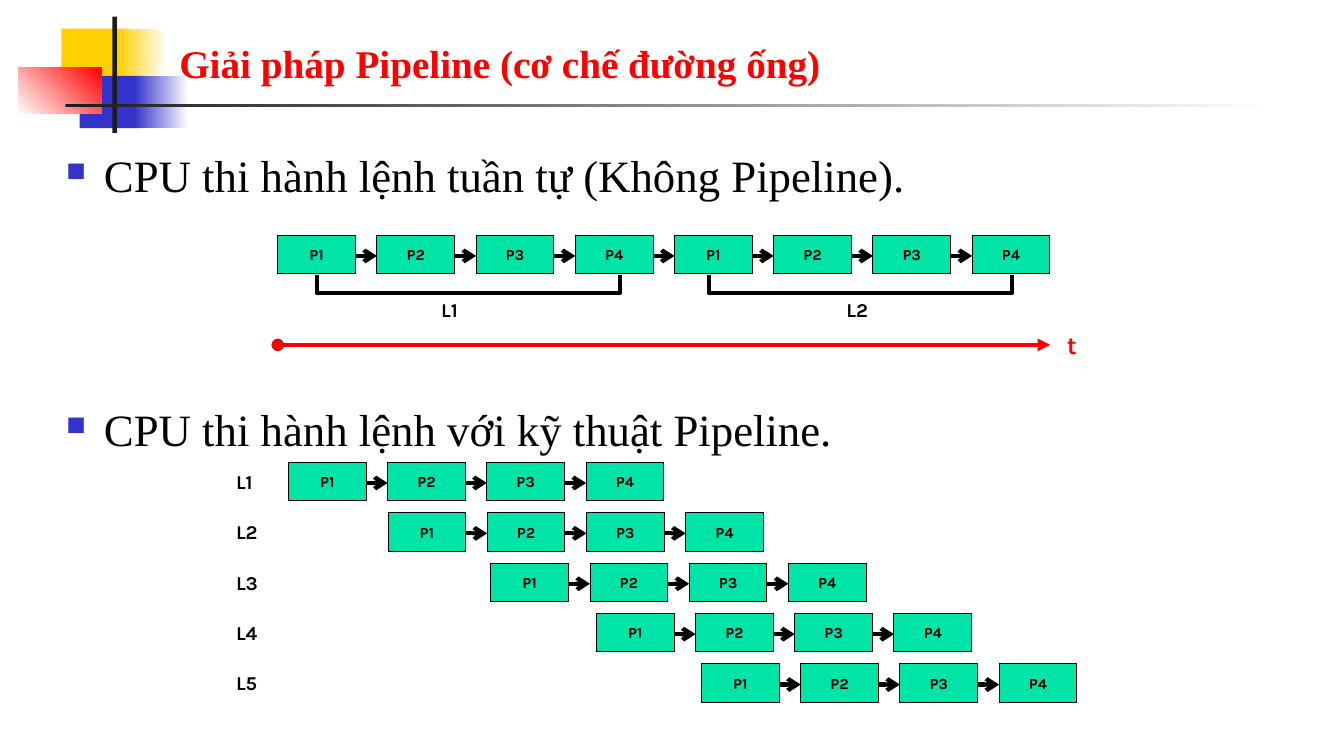
from lxml.etree import SubElement
from pptx import Presentation
from pptx.dml.color import RGBColor
from pptx.enum.shapes import MSO_CONNECTOR as Connector, MSO_SHAPE as Preset
from pptx.enum.text import MSO_ANCHOR as Anchor, PP_ALIGN as Align
from pptx.oxml.ns import qn
from pptx.util import Cm, Pt

BLACK, WHITE, RED, BLUE = "000000", "FFFFFF", "FF0000", "3333CC"
YELLOW, CHARCOAL, GREEN = "FFCF01", "1C1C1C", "00E4A8"
SERIF, SANS = "Times New Roman", "Karla"
PHASES = ["P1", "P2", "P3", "P4"]
PHASE_WIDTH, PHASE_HEIGHT, PHASE_STEP = 1.96, 0.97, 2.5
SEQUENCE_LEFT, SEQUENCE_TOP = 7, 5.93
PIPELINE_TOP, PIPELINE_STEP = 11.65, 1.27
PIPELINE_LEFTS = [7.27, 9.78, 12.37, 15.03, 17.68]
DECORATION = [
    (1.55, 0.72, 1.63, 1.32, [YELLOW], 0),
    (2.97, 0.72, 1.22, 1.32, [YELLOW, WHITE], 0),
    (2.01, 1.91, 1.57, 1.32, [BLUE], 0),
    (3.38, 1.91, 1.37, 1.32, [BLUE, WHITE], 0),
    (0.47, 1.7, 2.08, 1.17, [WHITE, RED], 45),
    (2.83, 0.42, 0.12, 2.93, [CHARCOAL], 0),
    (1.65, 2.62, 30.48, 0.08, [CHARCOAL, WHITE], 0),
]


def color(value):
    """Turn a hex string into a colour."""
    return RGBColor.from_string(value)


def style_text(frame, size, font, tint, bold=True):
    """Format every run of a text frame."""
    for paragraph in frame.paragraphs:
        for run in paragraph.runs:
            run.font.size = Pt(size)
            run.font.name = font
            run.font.bold = bold
            run.font.color.rgb = color(tint)


def add_decoration(slide, left, top, width, height, tints, angle):
    """Draw one borderless rectangle with a solid or gradient fill."""
    block = slide.shapes.add_shape(
        Preset.RECTANGLE, Cm(left), Cm(top), Cm(width), Cm(height))
    block.shadow.inherit = False
    block.line.fill.background()
    if len(tints) == 1:
        block.fill.solid()
        block.fill.fore_color.rgb = color(tints[0])
    else:
        block.fill.gradient()
        block.fill.gradient_angle = angle
        for stop, tint in zip(block.fill.gradient_stops, tints):
            stop.color.rgb = color(tint)


def add_title(slide, text):
    """Add the slide heading."""
    heading = slide.shapes.add_textbox(Cm(4.27), Cm(0.58), Cm(28.85), Cm(1.73))
    frame = heading.text_frame
    frame.word_wrap = True
    frame.vertical_anchor = Anchor.BOTTOM
    frame.text = text
    style_text(frame, 28, SERIF, RED)


def add_bullets(slide, lines, gap):
    """Add the square-bulleted statements, separated by a gap in points."""
    body = slide.shapes.add_textbox(Cm(1.42), Cm(3.61), Cm(31.75), Cm(13.44))
    frame = body.text_frame
    frame.word_wrap = True
    frame.text = "\n".join(lines)
    for index, paragraph in enumerate(frame.paragraphs):
        paragraph.space_before = Pt(gap if index else 0)
        props = paragraph._p.get_or_add_pPr()
        props.set("marL", str(Cm(0.95)))
        props.set("indent", str(Cm(-0.95)))
        SubElement(SubElement(props, qn("a:buClr")), qn("a:srgbClr"), val=BLUE)
        SubElement(props, qn("a:buSzPct"), val="60000")
        SubElement(props, qn("a:buChar"), char="■")
    style_text(frame, 32, SERIF, BLACK, bold=False)


def add_label(slide, text, left, top, size=14, tint=BLACK):
    """Add a short unwrapped label."""
    label = slide.shapes.add_textbox(Cm(left), Cm(top), Cm(1.12), Cm(0.86))
    label.text_frame.word_wrap = False
    label.text_frame.text = text
    style_text(label.text_frame, size, SANS, tint)


def add_arrow(slide, start, end, y, tint=BLACK, tail="arrow", head="none"):
    """Draw a horizontal arrow."""
    arrow = slide.shapes.add_connector(
        Connector.STRAIGHT, Cm(start), Cm(y), Cm(end), Cm(y))
    arrow.line.width = Pt(3)
    arrow.line.color.rgb = color(tint)
    outline = arrow.line._get_or_add_ln()
    SubElement(outline, qn("a:headEnd"), type=head)
    SubElement(outline, qn("a:tailEnd"), type=tail)
    SubElement(arrow._element.spPr, qn("a:effectLst"))


def add_phase(slide, text, left, top):
    """Draw one phase box."""
    phase = slide.shapes.add_shape(
        Preset.RECTANGLE, Cm(left), Cm(top), Cm(PHASE_WIDTH), Cm(PHASE_HEIGHT))
    phase.shadow.inherit = False
    phase.fill.solid()
    phase.fill.fore_color.rgb = color(GREEN)
    phase.line.color.rgb = color(BLACK)
    phase.line.width = Pt(0.75)
    frame = phase.text_frame
    frame.vertical_anchor = Anchor.MIDDLE
    frame.text = text
    frame.paragraphs[0].alignment = Align.CENTER
    style_text(frame, 11, SANS, BLACK)


def add_chain(slide, phases, left, top):
    """Draw phase boxes in a row, joined by arrows."""
    for index, phase in enumerate(phases):
        phase_left = left + index * PHASE_STEP
        add_phase(slide, phase, phase_left, top)
        if index:
            add_arrow(slide, phase_left - PHASE_STEP + PHASE_WIDTH,
                      phase_left, top + 0.52)


def add_bracket(slide, left, top, width, height):
    """Draw a bracket that opens upwards."""
    right, bottom = Cm(left + width), Cm(top + height)
    builder = slide.shapes.build_freeform(Cm(left), Cm(top))
    builder.add_line_segments(
        [(Cm(left), bottom), (right, bottom), (right, Cm(top))], close=False)
    bracket = builder.convert_to_shape()
    bracket.shadow.inherit = False
    bracket.fill.background()
    bracket.line.color.rgb = color(BLACK)
    bracket.line.width = Pt(3)


def main():
    """Build the slide and save it."""
    deck = Presentation()
    deck.slide_width, deck.slide_height = Cm(33.87), Cm(19.05)
    slide = deck.slides.add_slide(deck.slide_layouts[6])
    for block in DECORATION:
        add_decoration(slide, *block)
    add_title(slide, "Giải pháp Pipeline (cơ chế đường ống)")
    add_bullets(slide, ["CPU thi hành lệnh tuần tự (Không Pipeline).",
                        "CPU thi hành lệnh với kỹ thuật Pipeline."], 143)

    add_chain(slide, PHASES * 2, SEQUENCE_LEFT, SEQUENCE_TOP)
    for name, bracket_left, label_left in [("L1", 7.98, 10.87),
                                           ("L2", 17.86, 21.08)]:
        add_bracket(slide, bracket_left, 6.93, 7.65, 0.45)
        add_label(slide, name, label_left, 7.39)
    add_arrow(slide, SEQUENCE_LEFT, 26.47, 8.69, RED, "triangle", "oval")
    add_label(slide, "t", 26.64, 8.18, 18, RED)

    for index, left in enumerate(PIPELINE_LEFTS):
        top = PIPELINE_TOP + index * PIPELINE_STEP
        add_chain(slide, PHASES, left, top)
        add_label(slide, f"L{index + 1}", 5.7, top + 0.06)
    deck.save("out.pptx")


if __name__ == "__main__":
    main()
